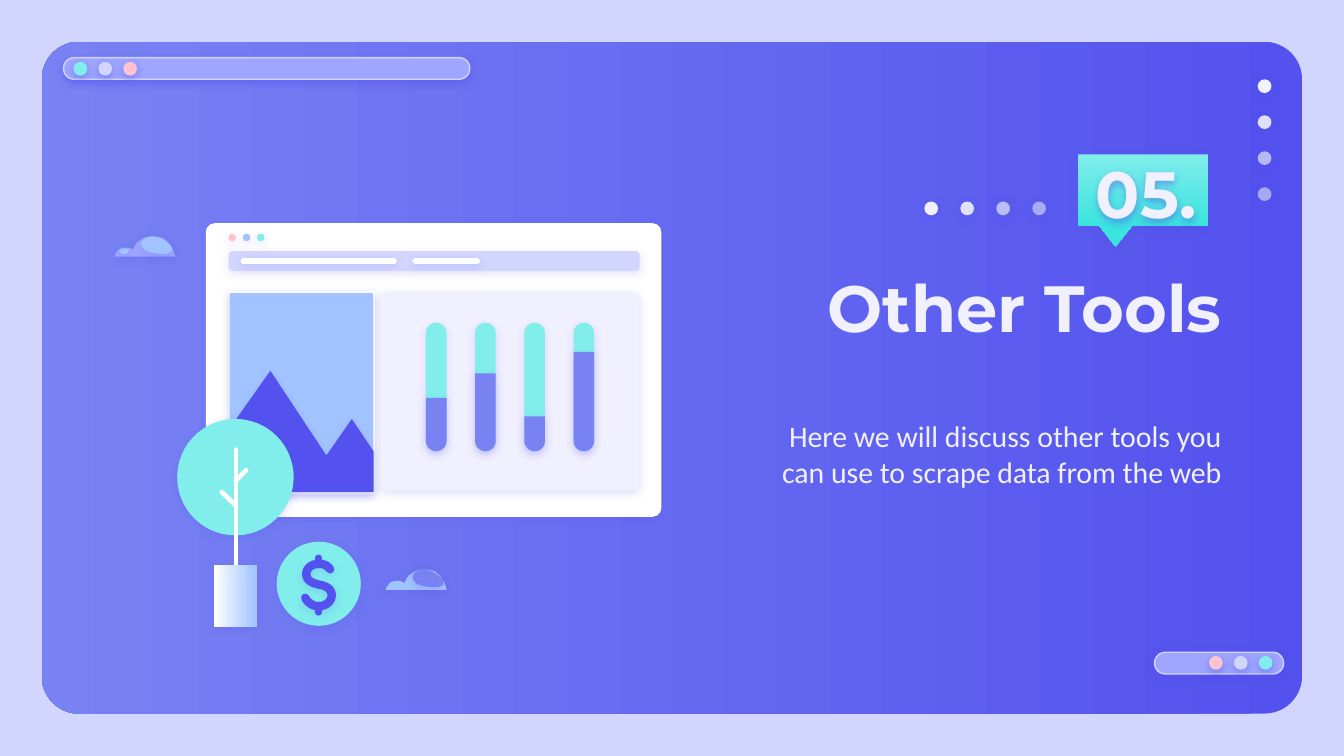
import pptx
import pptx.util
import pptx.dml.color
import pptx.enum.shapes
import pptx.enum.text
import pptx.oxml
import pptx.oxml.ns
import pptx.oxml.xmlchemy

Cm = pptx.util.Cm
Pt = pptx.util.Pt
KIND = pptx.enum.shapes.MSO_SHAPE
ALIGN = pptx.enum.text.PP_ALIGN
ANCHOR = pptx.enum.text.MSO_ANCHOR
qn = pptx.oxml.ns.qn

INDIGO, VIOLET, PERIWINKLE, LAVENDER = "5352EE", "7882F3", "9EA6FF", "D2D6FF"
MINT, TEAL, PINK, SKY, PALE, WHITE = "81EEEB", "3AE4DF", "FFC3D0", "A1C3FF", "F1F0FF", "FFFFFF"
SOFT, MEDIUM, STRONG = 17, 24, 50

TEXTS = [
    ("Other Tools", (13.87, 4.8, 9.47, 1.6), ANCHOR.TOP, "Montserrat", 35, True, None),
    ("Here we will discuss other tools you can use to scrape data from the web",
     (14.15, 6.88, 9.19, 3.38), ANCHOR.MIDDLE, "Calibri", 16, False, None),
    ("05.", (18.75, 3.28, 4.11, 1.35), ANCHOR.BOTTOM, "Montserrat", 35, True, STRONG),
]

WINDOW_BARS = [((1.2, 1.09, 7.68, 0.41), (1.39, 1.17), [MINT, LAVENDER, PINK]),
               ((21.82, 12.33, 2.44, 0.41), (22.85, 12.4), [PINK, LAVENDER, MINT])]
FADE = [100, 89, 66, 54]

BROWSER = [
    ((3.89, 4.22, 8.61, 5.55), 0.03, WHITE),
    ((4.32, 5.51, 2.77, 3.84), 0.02, WHITE),
    ((4.34, 5.54, 2.71, 3.76), 0.01, SKY),
    ((4.32, 4.75, 7.77, 0.37), 0.2, LAVENDER),
    ((4.55, 4.88, 2.95, 0.11), 0.5, WHITE),
    ((7.8, 4.88, 1.27, 0.11), 0.5, WHITE),
    ((7.19, 5.51, 4.9, 3.76), 0.04, PALE),
]
MOUNTAINS = [(5.11, 7.01), (4.34, 8.1), (4.34, 9.3), (7.06, 9.3),
             (7.06, 8.53), (6.65, 7.92), (6.17, 8.61), (5.11, 7.01)]
BAR_LEFT, BAR_TOP, BAR_BOTTOM, BAR_WIDTH, BAR_PITCH = 8.05, 6.1, 8.53, 0.39, 0.93
BAR_LEVELS = [7.52, 7.06, 7.87, 6.65]

CLOUDS = [((2.16, 4.47), PERIWINKLE, SKY), ((7.29, 10.77), SKY, VIOLET)]
CLOUD_OUTLINE = [
    (0.74, 0), (0.63, 0, 0.56, 0.02, 0.48, 0.08), (0.43, 0.11, 0.38, 0.17, 0.36, 0.25),
    (0.33, 0.23, 0.28, 0.21, 0.21, 0.21), (0.1, 0.21, 0.03, 0.28, 0, 0.38), (1.15, 0.38),
    (1.12, 0.23, 1.04, 0.1, 0.92, 0.03), (0.86, 0.01, 0.8, 0, 0.74, 0)]
CLOUD_GLOW = [
    (0.71, 0), (0.66, 0, 0.56, 0.03, 0.53, 0.08), (0.5, 0.11, 0.5, 0.16, 0.53, 0.2),
    (0.54, 0.23, 0.58, 0.26, 0.61, 0.28), (0.71, 0.31, 0.81, 0.33, 0.91, 0.33),
    (0.97, 0.33, 1.02, 0.33, 1.04, 0.3), (1.07, 0.3, 1.09, 0.28, 1.09, 0.25),
    (1.09, 0.23, 1.08, 0.2, 1.07, 0.18), (0.97, 0.07, 0.84, 0, 0.71, 0)]

TREE_LINES = [(4.46, 8.5, 4.46, 10.85), (4.19, 9.3, 4.46, 9.56), (4.65, 8.89, 4.46, 9.08)]
DOLLAR_CURVE = [
    (6.24, 10.76), (6.17, 10.67, 6.1, 10.66, 6.02, 10.66), (5.87, 10.66, 5.79, 10.76, 5.79, 10.85),
    (5.79, 10.97, 5.89, 11.02, 6.02, 11.05), (6.17, 11.07, 6.27, 11.14, 6.27, 11.25),
    (6.27, 11.38, 6.15, 11.46, 6.02, 11.46), (5.92, 11.46, 5.82, 11.4, 5.77, 11.3)]
DOLLAR_TICKS = [(6.02, 10.54, 6.02, 10.68), (6.02, 11.45, 6.02, 11.58)]

deck = pptx.Presentation()
deck.slide_width, deck.slide_height = Cm(25.4), Cm(14.29)
slide = deck.slides.add_slide(deck.slide_layouts[6])
shapes = slide.shapes


def rgb(value):
    return pptx.dml.color.RGBColor.from_string(value)


def add_element(parent, tag, **attributes):
    child = pptx.oxml.xmlchemy.OxmlElement(tag)
    for key, value in attributes.items():
        child.set(key, str(value))
    parent.append(child)
    return child


def cast_shadow(shape, alpha):
    shape.shadow.inherit = False
    if alpha:
        effects = shape._element.spPr.find(qn("a:effectLst"))
        outer = add_element(effects, "a:outerShdw", blurRad=Pt(4.5), dist=Pt(1.5),
                            dir=5400000, algn="bl", rotWithShape=0)
        add_element(add_element(outer, "a:srgbClr", val=INDIGO), "a:alpha", val=alpha * 1000)


def paint(shape, color, shadow, opacity=100):
    shape.fill.solid()
    shape.fill.fore_color.rgb = rgb(color)
    if opacity < 100:
        tint = shape._element.spPr.find(qn("a:solidFill")).find(qn("a:srgbClr"))
        add_element(tint, "a:alpha", val=opacity * 1000)
    shape.line.fill.background()
    cast_shadow(shape, shadow)


def place(kind, box, color, shadow=SOFT, adjust=(), opacity=100):
    shape = shapes.add_shape(kind, *map(Cm, box))
    for index, value in enumerate(adjust):
        shape.adjustments[index] = value
    paint(shape, color, shadow, opacity)
    return shape


def blend(shape, start, end, angle):
    shape.fill.gradient()
    shape.fill.gradient_angle = -angle % 360
    for stop, color in zip(shape.fill.gradient_stops, (start, end)):
        stop.color.rgb = rgb(color)


def dot(left, top, size, color, shadow=STRONG, opacity=100):
    place(KIND.OVAL, (left, top, size, size), color, shadow, opacity=opacity)


def trace(outline, origin=(0, 0), close=True, steps=8):
    points = [outline[0]]
    for part in outline[1:]:
        if len(part) == 2:
            points.append(part)
            continue
        controls = [points[-1], part[:2], part[2:4], part[4:]]
        for t in (step / steps for step in range(1, steps + 1)):
            weights = ((1 - t) ** 3, 3 * t * (1 - t) ** 2, 3 * t * t * (1 - t), t ** 3)
            points.append(tuple(sum(w * c[axis] for w, c in zip(weights, controls))
                                for axis in (0, 1)))
    corners = [(Cm(x + origin[0]), Cm(y + origin[1])) for x, y in points]
    builder = shapes.build_freeform(*corners[0])
    builder.add_line_segments(corners[1:], close=close)
    return builder.convert_to_shape()


def stroke(shape, color, width):
    shape.line.color.rgb = rgb(color)
    shape.line.width = Pt(width)
    shape._element.spPr.find(qn("a:ln")).set("cap", "rnd")


def draw_lines(ends, color, width):
    for end in ends:
        line = shapes.add_connector(pptx.enum.shapes.MSO_CONNECTOR.STRAIGHT, *map(Cm, end))
        stroke(line, color, width)
        add_element(line._element.spPr, "a:effectLst")


def write(words, box, anchor, font, size, bold, shadow):
    label = shapes.add_textbox(*map(Cm, box))
    frame = label.text_frame
    frame.word_wrap = True
    frame.vertical_anchor = anchor
    frame.margin_left = frame.margin_right = frame.margin_top = frame.margin_bottom = Cm(0.25)
    frame.text = words
    frame.paragraphs[0].alignment = ALIGN.RIGHT
    face = frame.paragraphs[0].runs[0].font
    face.name, face.size, face.bold = font, Pt(size), bold
    face.color.rgb = rgb(PALE)
    cast_shadow(label, shadow)


slide.background.fill.solid()
slide.background.fill.fore_color.rgb = rgb(LAVENDER)
panel = place(KIND.ROUNDED_RECTANGLE, (0.79, 0.79, 23.82, 12.7), INDIGO, None, [0.056])
blend(panel, INDIGO, VIOLET, 180)

for box, (left, top), colors in WINDOW_BARS:
    bar = place(KIND.ROUNDED_RECTANGLE, box, PERIWINKLE, STRONG, [0.5])
    bar.line.color.rgb = rgb(LAVENDER)
    bar.line.width = Pt(0.75)
    for index, color in enumerate(colors):
        dot(left + index * 0.47, top, 0.26, color)
for index, opacity in enumerate(FADE):
    dot(23.77, 1.5 + index * 0.68, 0.26, PALE, opacity=opacity)
    dot(17.47 + index * 0.68, 3.81, 0.26, PALE, opacity=opacity)

for box, radius, color in BROWSER:
    place(KIND.ROUNDED_RECTANGLE, box, color, adjust=[radius])
paint(trace(MOUNTAINS), INDIGO, SOFT)
for index, color in enumerate([PINK, SKY, MINT]):
    dot(4.32 + index * 0.27, 4.42, 0.14, color, SOFT)
for index, level in enumerate(BAR_LEVELS):
    left = BAR_LEFT + index * BAR_PITCH
    place(KIND.ROUNDED_RECTANGLE, (left, BAR_TOP, BAR_WIDTH, BAR_BOTTOM - BAR_TOP),
          MINT, adjust=[0.5])
    place(KIND.ROUND_2_SAME_RECTANGLE, (left, level, BAR_WIDTH, BAR_BOTTOM - level),
          VIOLET, adjust=[0, 0.5])

for origin, body, glow in CLOUDS:
    paint(trace(CLOUD_OUTLINE, origin), body, SOFT)
    paint(trace(CLOUD_GLOW, origin), glow, SOFT)
place(KIND.OVAL, (2.26, 4.7, 0.18, 0.1), SKY)

dot(3.35, 7.92, 2.2, MINT, SOFT)
draw_lines(TREE_LINES, WHITE, 2.5)
pot = place(KIND.RECTANGLE, (4.04, 10.69, 0.81, 1.17), WHITE)
blend(pot, WHITE, SKY, 0)

dot(5.23, 10.24, 1.59, MINT, SOFT)
dollar = trace(DOLLAR_CURVE, close=False)
dollar.fill.background()
stroke(dollar, INDIGO, 4.5)
cast_shadow(dollar, SOFT)
draw_lines(DOLLAR_TICKS, INDIGO, 3.25)

callout = place(KIND.ROUNDED_RECTANGULAR_CALLOUT, (20.37, 2.92, 2.46, 1.35), MINT, MEDIUM,
                [-0.21, 0.79, 0])
blend(callout, MINT, TEAL, 90)
for entry in TEXTS:
    write(*entry)

deck.save("out.pptx")
